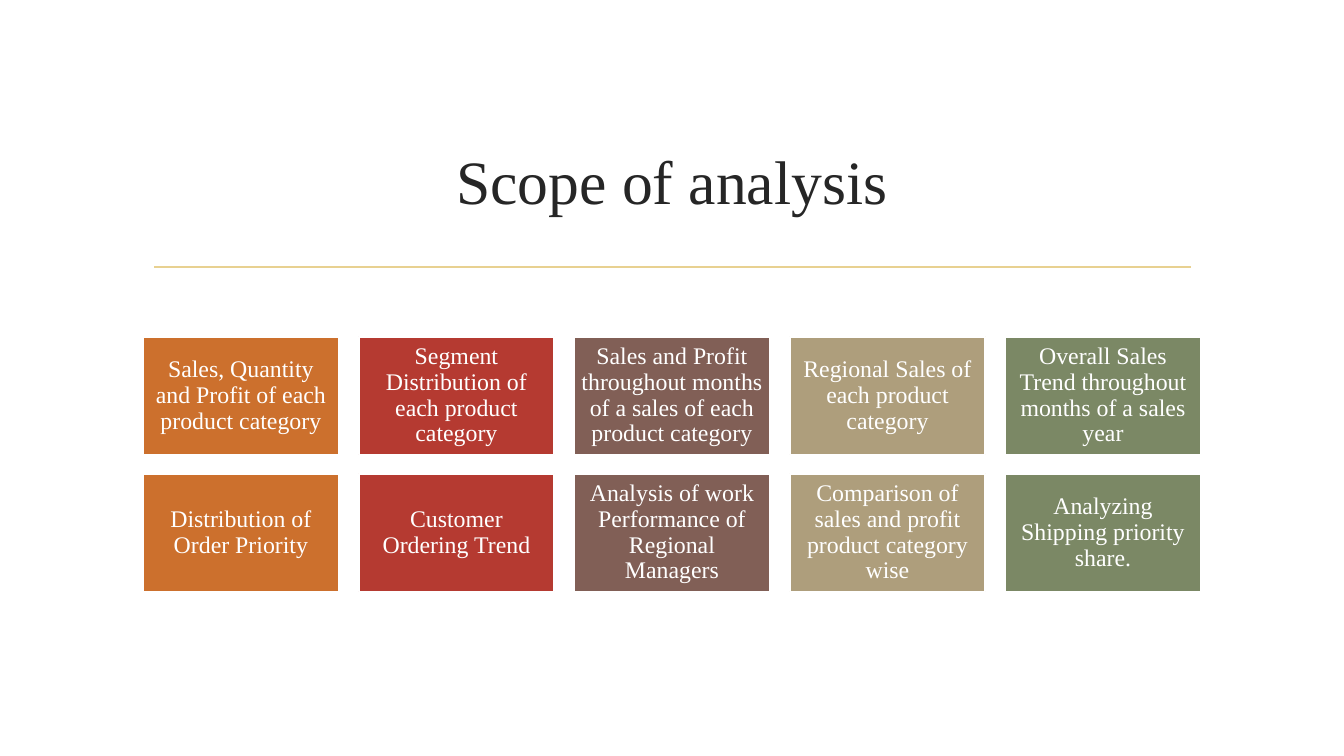
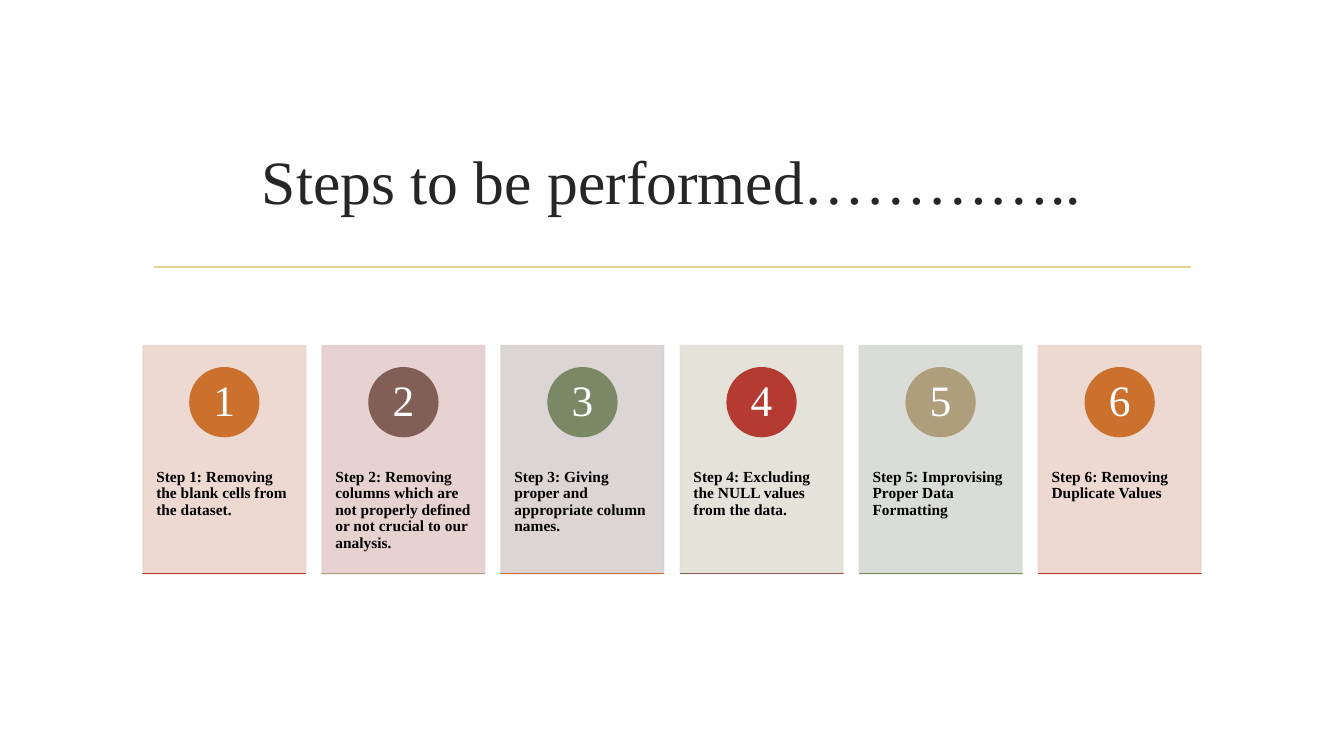
"""Build two slides: the scope of an analysis and the steps to perform."""
from lxml import etree
from pptx import Presentation
from pptx.dml.color import RGBColor
from pptx.enum.shapes import MSO_CONNECTOR, MSO_SHAPE
from pptx.enum.text import MSO_ANCHOR, MSO_AUTO_SIZE, PP_ALIGN
from pptx.oxml.ns import qn
from pptx.util import Inches, Pt

RECTANGLE, OVAL = MSO_SHAPE.RECTANGLE, MSO_SHAPE.OVAL
STRAIGHT = MSO_CONNECTOR.STRAIGHT
TOP, MIDDLE = MSO_ANCHOR.TOP, MSO_ANCHOR.MIDDLE
LEFT, CENTER = PP_ALIGN.LEFT, PP_ALIGN.CENTER
NO_AUTOFIT = MSO_AUTO_SIZE.NONE

FONT = "Times New Roman"
COLORS = {
    "white": "FFFFFF", "black": "000000", "title": "262626", "rule": "E8D191",
    "orange": "CC702D", "red": "B53A31", "brown": "815F56",
    "tan": "AE9E7C", "green": "7B8865",
    "pale orange": "ECD5CD", "pale red": "E5CECE", "pale brown": "D8D2D1",
    "pale tan": "E3DFD7", "pale green": "D7DAD3",
}

SLIDE_WIDTH, SLIDE_HEIGHT = 13.33, 7.5
CONTENT_LEFT, CONTENT_WIDTH = 1.42, 10.49
TITLE_TOP, TITLE_HEIGHT = 1.07, 1.43
RULE_LEFT, RULE_RIGHT, RULE_TOP = 1.53, 11.81, 2.65
LINE_WIDTH = 1.25

SCOPE_TITLE = "Scope of analysis"
SCOPE_COLORS = ["orange", "red", "brown", "tan", "green"]
SCOPE_ROWS = [
    [
        "Sales, Quantity and Profit of each product category",
        "Segment Distribution of each product category",
        "Sales and Profit throughout months of a sales of each product category",
        "Regional Sales of each product category",
        "Overall Sales Trend throughout months of a sales year",
    ],
    [
        "Distribution of Order Priority",
        "Customer Ordering Trend",
        "Analysis of work Performance of Regional Managers",
        "Comparison of sales and profit product category wise",
        "Analyzing Shipping priority share.",
    ],
]
TILE_TOP, TILE_WIDTH, TILE_HEIGHT, TILE_ROW_STEP = 3.34, 1.94, 1.17, 1.36

STEPS_TITLE = "Steps to be performed………….."
STEPS = [
    ("Removing the blank cells from the dataset.", "pale orange", "orange", "red"),
    ("Removing columns which are not properly defined or not crucial to our analysis.",
     "pale red", "brown", "tan"),
    ("Giving proper and appropriate column names.", "pale brown", "green", "orange"),
    ("Excluding the NULL values from the data.", "pale tan", "red", "brown"),
    ("Improvising Proper Data Formatting", "pale green", "tan", "green"),
    ("Removing Duplicate Values", "pale orange", "orange", "red"),
]
CARD_TOP, CARD_WIDTH, CARD_HEIGHT = 3.43, 1.61, 2.26
BADGE_TOP, BADGE_SIZE = 3.65, 0.68


def rgb(name):
    return RGBColor.from_string(COLORS[name])


def column_lefts(count, width):
    step = (CONTENT_WIDTH - width) / (count - 1)
    return [CONTENT_LEFT + step * index for index in range(count)]


def write_text(shape, text, size, color="white", bold=False, align=CENTER,
               anchor=MIDDLE, insets=(0, 0, 0, 0), spacing=0.9, wrap=True):
    frame = shape.text_frame
    frame.auto_size = NO_AUTOFIT
    frame.word_wrap = wrap
    frame.vertical_anchor = anchor
    (frame.margin_left, frame.margin_top,
     frame.margin_right, frame.margin_bottom) = map(Inches, insets)
    para = frame.paragraphs[0]
    para.alignment = align
    para.line_spacing = spacing
    span = para.add_run()
    span.text = text
    span.font.name = FONT
    span.font.size = Pt(size)
    span.font.bold = bold
    span.font.color.rgb = rgb(color)


def add_box(slide, kind, left, top, width, height, fill, line=None, opacity=100):
    box = slide.shapes.add_shape(kind, *map(Inches, (left, top, width, height)))
    box.shadow.inherit = False
    box.fill.solid()
    box.fill.fore_color.rgb = rgb(fill)
    box.line.color.rgb = rgb(line or fill)
    box.line.width = Pt(LINE_WIDTH)
    if opacity < 100:
        for color in box.element.spPr.iter(qn("a:srgbClr")):
            etree.SubElement(color, qn("a:alpha"), val=str(opacity * 1000))
    return box


def add_titled_slide(deck, title):
    slide = deck.slides.add_slide(deck.slide_layouts.get_by_name("Title Only"))
    rule = slide.shapes.add_connector(
        STRAIGHT, *map(Inches, (RULE_LEFT, RULE_TOP, RULE_RIGHT, RULE_TOP)))
    rule.line.color.rgb = rgb("rule")
    rule.line.width = Pt(LINE_WIDTH)
    etree.SubElement(rule.element.spPr, qn("a:effectLst"))
    box = slide.shapes.title
    box.left, box.top = Inches(CONTENT_LEFT), Inches(TITLE_TOP)
    box.width, box.height = Inches(CONTENT_WIDTH), Inches(TITLE_HEIGHT)
    write_text(box, title, 44, color="title", insets=(0.1, 0.05, 0.1, 0.05), spacing=1.0)
    return slide


def build_scope(deck):
    slide = add_titled_slide(deck, SCOPE_TITLE)
    lefts = column_lefts(len(SCOPE_COLORS), TILE_WIDTH)
    for row, topics in enumerate(SCOPE_ROWS):
        top = TILE_TOP + row * TILE_ROW_STEP
        for left, topic, color in zip(lefts, topics, SCOPE_COLORS):
            tile = add_box(slide, RECTANGLE, left, top, TILE_WIDTH, TILE_HEIGHT,
                           color, line="white")
            write_text(tile, topic, 17, insets=(0.07, 0.07, 0.07, 0.07))


def build_steps(deck):
    slide = add_titled_slide(deck, STEPS_TITLE)
    lefts = column_lefts(len(STEPS), CARD_WIDTH)
    for number, (left, step) in enumerate(zip(lefts, STEPS), start=1):
        text, card_color, badge_color, base_color = step
        card = add_box(slide, RECTANGLE, left, CARD_TOP, CARD_WIDTH, CARD_HEIGHT,
                       card_color, opacity=90)
        write_text(card, f"Step {number}: {text}", 11, color="black", bold=True,
                   align=LEFT, anchor=TOP, insets=(0.13, 1.22, 0.13, 0.4))
        badge_left = left + (CARD_WIDTH - BADGE_SIZE) / 2
        badge = add_box(slide, OVAL, badge_left, BADGE_TOP, BADGE_SIZE, BADGE_SIZE,
                        badge_color)
        write_text(badge, str(number), 31, wrap=False)
        add_box(slide, RECTANGLE, left, CARD_TOP + CARD_HEIGHT, CARD_WIDTH, 0, base_color)


def main():
    deck = Presentation()
    deck.slide_width, deck.slide_height = Inches(SLIDE_WIDTH), Inches(SLIDE_HEIGHT)
    build_scope(deck)
    build_steps(deck)
    deck.save("out.pptx")


if __name__ == "__main__":
    main()
